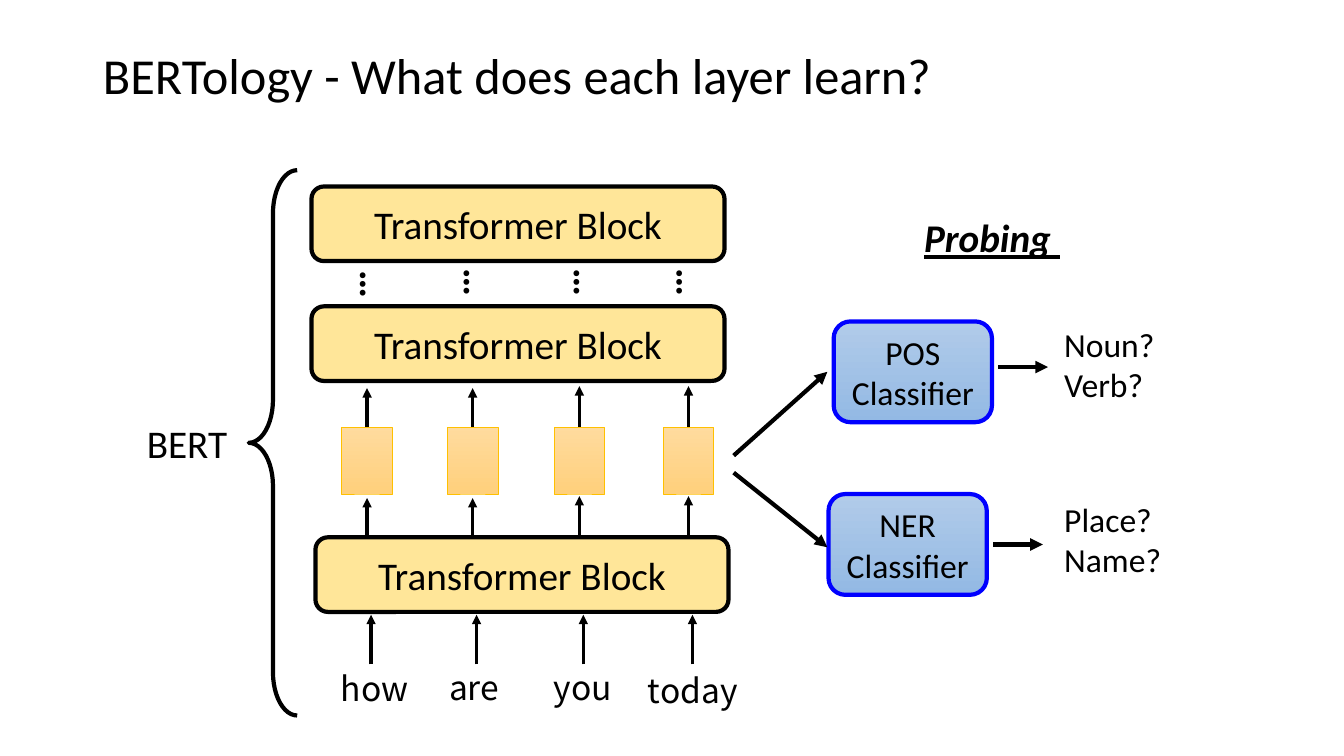
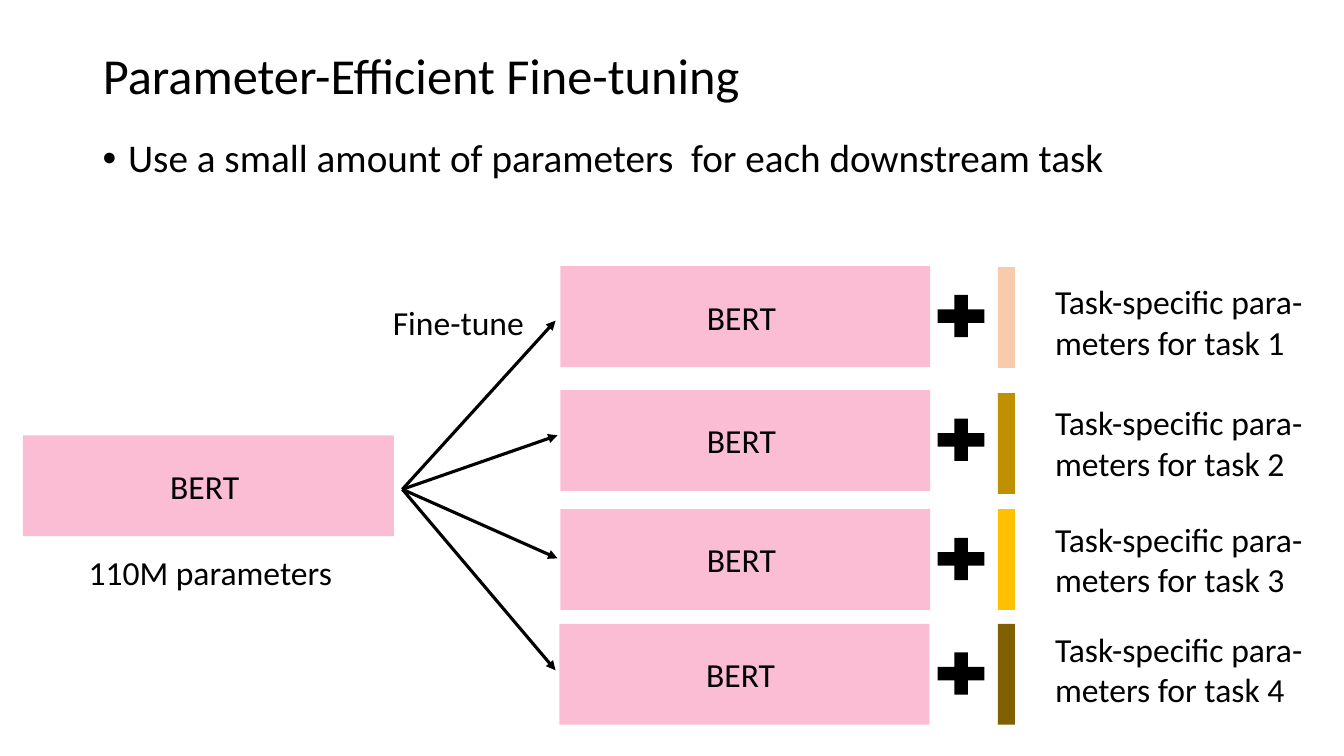
from lxml import etree
from pptx import Presentation
from pptx.dml.color import RGBColor
from pptx.enum.shapes import MSO_CONNECTOR, MSO_SHAPE
from pptx.enum.text import MSO_ANCHOR, MSO_AUTO_SIZE, PP_ALIGN
from pptx.oxml.ns import qn
from pptx.util import Cm, Pt

RECT, ROUND = MSO_SHAPE.RECTANGLE, MSO_SHAPE.ROUNDED_RECTANGLE
BRACE, PLUS = MSO_SHAPE.LEFT_BRACE, MSO_SHAPE.MATH_PLUS
STRAIGHT = MSO_CONNECTOR.STRAIGHT
LEFT, CENTER, JUSTIFY = PP_ALIGN.LEFT, PP_ALIGN.CENTER, PP_ALIGN.JUSTIFY
TOP, MIDDLE = MSO_ANCHOR.TOP, MSO_ANCHOR.MIDDLE
NO_FIT = MSO_AUTO_SIZE.NONE

COLORS = {
    "black": "000000",
    "block": "FFE699",
    "token_top": "FFDB9E", "token_bottom": "FFD07C", "token_line": "FFC000",
    "probe_top": "B1CBE9", "probe_bottom": "93B9E4", "probe_line": "0000FF",
    "bert": "FBBDD3",
    "task1": "F8CBAD", "task2": "BF9000", "task3": "FFC000", "task4": "806000",
}
BODY_FONT, WORD_FONT = "Calibri", "Noto Sans CJK SC"


def rgb(name):
    return RGBColor.from_string(COLORS[name])


class Deck:
    """Holds the shared style and the slide being drawn; lengths are in cm."""

    def __init__(self):
        self.prs = Presentation()
        self.prs.slide_width, self.prs.slide_height = Cm(33.87), Cm(19.05)
        self.s = None

    def new_slide(self, title):
        self.s = self.prs.slides.add_slide(self.prs.slide_layouts[5])
        sp = self.s.shapes.title
        sp.left, sp.top, sp.width, sp.height = Cm(2.34), Cm(1.02), Cm(29.21), Cm(1.9)
        self.fill_text(sp, title, size=36, anchor=MIDDLE, spacing=0.9)

    def fill_text(self, sp, text, size=24, align=LEFT, anchor=TOP, wrap=True,
                  spacing=None, **font):
        """Fill a shape with one paragraph per line of text."""
        tf = sp.text_frame
        tf.word_wrap, tf.auto_size, tf.vertical_anchor = wrap, NO_FIT, anchor
        style = {"name": BODY_FONT, "size": Pt(size), **font}
        for i, line in enumerate(text.split("\n")):
            p = tf.add_paragraph() if i else tf.paragraphs[0]
            p.text, p.alignment = line, align
            if spacing:
                p.line_spacing = spacing
            for r in p.runs:
                for key, value in style.items():
                    setattr(r.font, key, value)
                r.font.color.rgb = rgb("black")

    def text(self, x, y, w, h, text, rotation=0, **style):
        sp = self.s.shapes.add_textbox(Cm(x), Cm(y), Cm(w), Cm(h))
        sp.rotation = rotation
        self.fill_text(sp, text, **style)
        return sp

    def bullet(self, x, y, w, h, text):
        sp = self.text(x, y, w, h, text, size=28, align=JUSTIFY, spacing=0.9)
        pPr = sp.text_frame.paragraphs[0]._p.get_or_add_pPr()
        pPr.set("marL", str(Cm(0.64)))
        pPr.set("indent", str(-Cm(0.64)))
        etree.SubElement(pPr, qn("a:buFont")).set("typeface", "Arial")
        etree.SubElement(pPr, qn("a:buChar")).set("char", "•")

    def shape(self, kind, x, y, w, h, fill=None, line=None, weight=3, text=None, size=24):
        """Draw a preset shape; a pair of fill names makes a vertical gradient."""
        sp = self.s.shapes.add_shape(kind, Cm(x), Cm(y), Cm(w), Cm(h))
        sp.shadow.inherit = False
        if fill is None:
            sp.fill.background()
        elif isinstance(fill, tuple):
            sp.fill.gradient()
            sp.fill.gradient_angle = 270
            for stop, name in zip(sp.fill.gradient_stops, fill):
                stop.color.rgb = rgb(name)
        else:
            sp.fill.solid()
            sp.fill.fore_color.rgb = rgb(fill)
        if line:
            sp.line.color.rgb = rgb(line)
            sp.line.width = Pt(weight)
        else:
            sp.line.fill.background()
        if text:
            self.fill_text(sp, text, size=size, align=CENTER, anchor=MIDDLE)
        return sp

    def arrow(self, x1, y1, x2, y2, weight=2.25):
        c = self.s.shapes.add_connector(STRAIGHT, Cm(x1), Cm(y1), Cm(x2), Cm(y2))
        c.line.color.rgb = rgb("black")
        c.line.width = Pt(weight)
        spPr = c._element.spPr
        etree.SubElement(spPr.find(qn("a:ln")), qn("a:tailEnd")).set("type", "triangle")
        etree.SubElement(spPr, qn("a:effectLst"))


def probing_slide(d):
    d.new_slide("BERTology - What does each layer learn?")

    # word, column centre, lift of the arrows, word left and top, dots left and top
    columns = [
        ("how", 9.25, 0, 7.98, 16.71, 8.05, 7.24),
        ("are", 11.91, 0, 10.49, 16.69, 10.67, 7.19),
        ("you", 14.6, 0.05, 13.23, 16.69, 13.44, 7.21),
        ("today", 17.35, 0.05, 16, 16.76, 16.03, 7.19),
    ]
    for word, x, lift, word_x, word_y, dots_x, dots_y in columns:
        d.arrow(x, 11.79 - lift, x, 9.78 - lift)
        d.arrow(x, 14.53 - lift, x, 12.55 - lift)
        d.arrow(x + 0.1, 16.74, x + 0.1, 15.49)
        d.shape(RECT, x - 0.64, 10.77, 1.28, 1.68,
                ("token_top", "token_bottom"), "token_line", 0.5)
        d.text(dots_x, dots_y, 2.82, 1.45, "…", rotation=90, size=28, bold=True)
        d.text(word_x, word_y, 2.92, 1.27, word, align=CENTER, name=WORD_FONT)

    for x, y in [(7.85, 4.7), (7.85, 7.72), (7.95, 13.54)]:
        d.shape(ROUND, x, y, 10.41, 1.88, "block", "black",
                text="Transformer Block", size=28)

    brace = d.shape(BRACE, 6.27, 4.29, 1.22, 13.74, line="black")
    brace.adjustments[0] = 0.89
    d.text(3.45, 10.44, 3.84, 1.45, "BERT", size=28)

    d.text(23.04, 5.26, 3.99, 1.45, "Probing ", size=28,
           bold=True, italic=True, underline=True)
    # task, box left and top, answers and their top, heights of the arrows
    probes = [
        ("POS", 21.01, 8.1, "Noun?\nVerb?", 8.03, 11.48, 9.37, 9.25),
        ("NER", 20.88, 12.45, "Place?\nName?", 12.45, 11.91, 13.79, 13.72),
    ]
    for task, x, y, answers, answers_y, start_y, end_y, out_y in probes:
        d.shape(ROUND, x, y, 3.99, 2.54, ("probe_top", "probe_bottom"),
                "probe_line", text=f"{task}\nClassifier")
        d.arrow(18.49, start_y, 20.85, end_y, 3)
        d.arrow(x + 4.15, out_y, x + 5.4, out_y, 3)
        d.text(26.57, answers_y, 3.35, 2.31, answers)


def fine_tuning_slide(d):
    d.new_slide("Parameter-Efficient Fine-tuning")
    d.bullet(2.34, 3.38, 29.21, 2.13,
             "Use a small amount of parameters  for each downstream task")
    d.shape(RECT, 0.58, 10.97, 9.35, 2.54, "bert", text="BERT ")
    d.text(1.35, 13.79, 7.9, 1.27, "110M parameters", align=CENTER)
    d.text(9.65, 7.49, 3.86, 1.27, "Fine-tune", wrap=False)

    # model left and top, bar top, label top, arrow end
    tasks = [
        (14.12, 6.71, 6.73, 6.96, 14, 8.08),
        (14.12, 9.83, 9.91, 10.01, 14.05, 10.97),
        (14.12, 12.83, 12.83, 12.95, 14.05, 14.07),
        (14.1, 15.72, 15.72, 15.72, 14, 16.89),
    ]
    for n, (x, y, bar_y, label_y, tip_x, tip_y) in enumerate(tasks, 1):
        d.arrow(10.14, 12.33, tip_x, tip_y)
        d.shape(RECT, x, y, 9.32, 2.54, "bert", text="BERT ")
        d.shape(PLUS, 23.42, y + 0.53, 1.6, 1.45, "black")
        d.shape(RECT, 25.15, bar_y, 0.43, 2.54, f"task{n}")
        d.text(26.34, label_y, 7.16, 2.31,
               f"Task-specific para-\vmeters for task {n}")


def main():
    d = Deck()
    probing_slide(d)
    fine_tuning_slide(d)
    d.prs.save("out.pptx")


if __name__ == "__main__":
    main()
